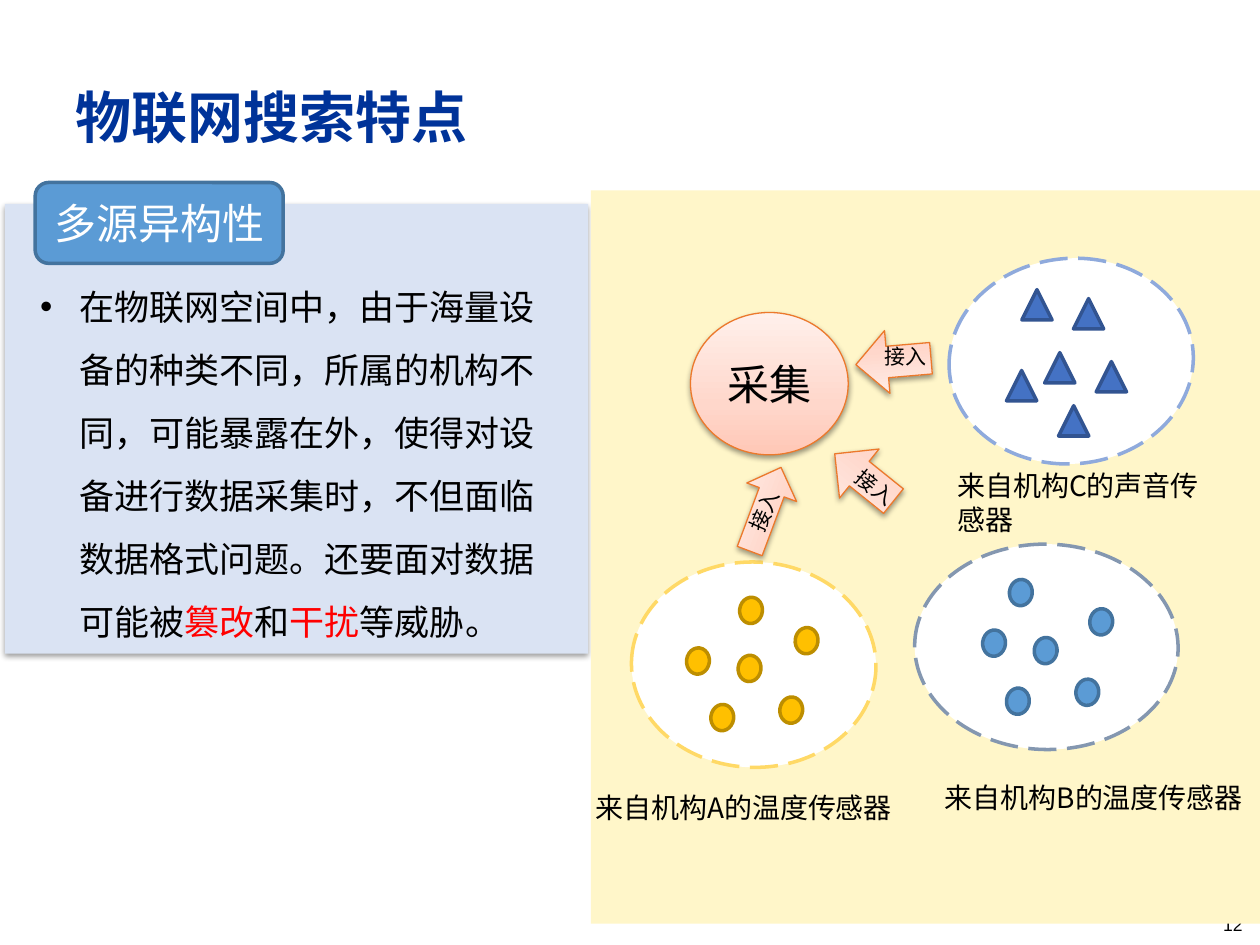
from lxml import etree
from pptx import Presentation
from pptx.dml.color import RGBColor
from pptx.enum.dml import MSO_LINE
from pptx.enum.shapes import MSO_SHAPE
from pptx.enum.text import MSO_ANCHOR, PP_ALIGN
from pptx.oxml.ns import qn
from pptx.util import Cm, Pt

RECTANGLE, ROUNDED = MSO_SHAPE.RECTANGLE, MSO_SHAPE.ROUNDED_RECTANGLE
OVAL, TRIANGLE, ARROW = MSO_SHAPE.OVAL, MSO_SHAPE.ISOSCELES_TRIANGLE, MSO_SHAPE.RIGHT_ARROW
LONG_DASH = MSO_LINE.LONG_DASH
MIDDLE, CENTER = MSO_ANCHOR.MIDDLE, PP_ALIGN.CENTER

LATIN, CHINESE = "Arial", "Noto Sans CJK SC"
BLACK = RGBColor(0, 0, 0)
WHITE = RGBColor(0xFF, 0xFF, 0xFF)
RED = RGBColor(0xFF, 0, 0)
NAVY = RGBColor(0x00, 0x33, 0x99)
PALE_BLUE = RGBColor(0xDA, 0xE3, 0xF3)
CREAM = RGBColor(0xFF, 0xF6, 0xC9)
BLUE = RGBColor(0x5B, 0x9B, 0xD5)
BLUE_EDGE = RGBColor(0x43, 0x73, 0x9E)
GOLD = RGBColor(0xFF, 0xC0, 0x00)
GOLD_EDGE = RGBColor(0xBD, 0x8E, 0x00)
ROYAL = RGBColor(0x44, 0x72, 0xC4)
ROYAL_EDGE = RGBColor(0x32, 0x54, 0x91)
GOLD_RING = RGBColor(0xFF, 0xD9, 0x66)
SLATE_RING = RGBColor(0x84, 0x97, 0xB0)
BLUE_RING = RGBColor(0x8F, 0xAA, 0xDC)
ORANGE = RGBColor(0xEC, 0x79, 0x2B)
PEACH_STOPS = ((0, "FFC7B6"), (35, "FFD7CB"), (100, "FFF0EB"))

BODY_RUNS = (
    ("在物联网空间中，由于海量设备的种类不同，所属的机构不同，可能暴露在外，"
     "使得对设备进行数据采集时，不但面临数据格式问题。还要面对数据可能被", BLACK),
    ("篡改", RED), ("和", BLACK), ("干扰", RED), ("等威胁。", BLACK),
)

# Ring box, ring rotation, ring colour, sensor shape, sensor size,
# sensor rotation, fill, edge, sensor positions
CLUSTERS = (
    ((12.73, 11.33, 4.93, 4.14), 1.7, GOLD_RING, OVAL, (0.46, 0.53), 7.1, GOLD, GOLD_EDGE,
     ((14.88, 13.21), (14.33, 14.2), (15.72, 14.05),
      (16.03, 12.65), (14.91, 12.04), (13.84, 13.06))),
    ((18.44, 10.97, 5.31, 4.14), 1.1, SLATE_RING, OVAL, (0.46, 0.53), 6.5, BLUE, BLUE_EDGE,
     ((20.85, 12.85), (20.29, 13.87), (21.69, 13.69),
      (21.97, 12.27), (20.35, 11.68), (19.81, 12.7))),
    ((19.13, 5.21, 4.93, 4.14), 354.6, BLUE_RING, TRIANGLE, (0.61, 0.61), 0, ROYAL, ROYAL_EDGE,
     ((20.6, 5.84), (21.06, 7.11), (21.64, 6.02),
      (22.1, 7.29), (20.29, 7.47), (21.34, 8.18))),
)

LABELS = (
    ("来自机构A的温度传感器", (11.76, 15.82, 6.5, 0.94)),
    ("来自机构B的温度传感器", (18.8, 15.62, 6.5, 0.94)),
    ("来自机构C的声音传感器", (19.05, 9.32, 5.64, 0.89)),
)

# Arrow box, arrow rotation, caption position, caption rotation
ACCESS_ARROWS = (
    ((14.53, 9.73, 1.8, 1.07), 290.5, (14.73, 9.91), 294.2),
    ((16.66, 8.99, 1.52, 1.27), 218.8, (16.97, 9.45), 39.3),
    ((17.25, 6.65, 1.52, 1.27), 175.1, (17.58, 6.81), 0),
)


def lengths(values):
    return [Cm(value) for value in values]


def style_run(run, size, color, font=LATIN, bold=False):
    run.font.size, run.font.bold, run.font.name = Pt(size), bold, font
    run.font.color.rgb = color
    east_asian = etree.SubElement(run.font._element, qn("a:ea"))
    east_asian.set("typeface", CHINESE)


def add_shape(page, kind, box, fill=None, line=None, width=2, rotation=0):
    shape = page.shapes.add_shape(kind, *lengths(box))
    shape.shadow.inherit = False
    shape.rotation = rotation
    if fill is not None:
        shape.fill.solid()
        shape.fill.fore_color.rgb = fill
    if line is None:
        shape.line.fill.background()
    else:
        shape.line.color.rgb = line
        shape.line.width = Pt(width)
    return shape


def add_shadow(shape):
    effects = shape._element.spPr.find(qn("a:effectLst"))
    shadow = etree.SubElement(effects, qn("a:outerShdw"), blurRad="40000", dist="20000",
                              dir="5400000", rotWithShape="0")
    color = etree.SubElement(shadow, qn("a:srgbClr"), val="000000")
    etree.SubElement(color, qn("a:alpha"), val="38000")


def add_peach_shape(page, kind, box, rotation=0):
    """Add a shape with the upward peach gradient, an orange edge and a shadow."""
    shape = add_shape(page, kind, box, line=ORANGE, width=0.75, rotation=rotation)
    add_shadow(shape)
    gradient = etree.Element(qn("a:gradFill"), rotWithShape="1")
    stops = etree.SubElement(gradient, qn("a:gsLst"))
    for percent, color in PEACH_STOPS:
        stop = etree.SubElement(stops, qn("a:gs"), pos=str(percent * 1000))
        etree.SubElement(stop, qn("a:srgbClr"), val=color)
    etree.SubElement(gradient, qn("a:lin"), ang="16200000", scaled="0")
    shape._element.spPr.find(qn("a:prstGeom")).addnext(gradient)
    return shape


def set_centered_text(shape, text, size, color):
    frame = shape.text_frame
    frame.text = text
    frame.vertical_anchor = MIDDLE
    para = frame.paragraphs[0]
    para.alignment = CENTER
    style_run(para.runs[0], size, color, CHINESE)


def add_text(page, text, box, size, color=BLACK, font=LATIN, bold=False, wrap=True):
    text_box = page.shapes.add_textbox(*lengths(box))
    frame = text_box.text_frame
    frame.word_wrap = wrap
    frame.text = text
    style_run(frame.paragraphs[0].runs[0], size, color, font, bold)
    return text_box


def add_body(page):
    text_box = page.shapes.add_textbox(*lengths((0.56, 5.21, 10.8, 7.95)))
    text_box.text_frame.word_wrap = True
    para = text_box.text_frame.paragraphs[0]
    para.line_spacing = 1.5
    properties = para._p.get_or_add_pPr()
    properties.set("marL", str(Cm(0.79)))
    properties.set("indent", str(-Cm(0.79)))
    etree.SubElement(properties, qn("a:buFont"), typeface=LATIN)
    etree.SubElement(properties, qn("a:buChar"), char="•")
    for text, color in BODY_RUNS:
        run = para.add_run()
        run.text = text
        style_run(run, 20, color)


def add_cluster(page, ring_box, ring_rotation, ring_color, kind, size, rotation,
                fill, edge, positions):
    """Add a dashed ring and the sensors inside it."""
    ring = add_shape(page, OVAL, ring_box, WHITE, ring_color, rotation=ring_rotation)
    ring.line.dash_style = LONG_DASH
    for position in positions:
        add_shape(page, kind, position + size, fill, edge, rotation=rotation)


def add_access_arrow(page, box, rotation, caption_position, caption_rotation):
    add_peach_shape(page, ARROW, box, rotation)
    caption = add_text(page, "接入", caption_position + (1.37, 0.76), 12, wrap=False)
    caption.rotation = caption_rotation


def main():
    deck = Presentation()
    deck.slide_width, deck.slide_height = Cm(25.4), Cm(19.05)
    page = deck.slides.add_slide(deck.slide_layouts[6])

    add_text(page, "12", (24.41, 18.31, 0.99, 1.09), 10)
    panel = add_shape(page, RECTANGLE, (0.1, 4.11, 11.76, 9.07), PALE_BLUE)
    add_shadow(panel)
    tag = add_shape(page, ROUNDED, (0.71, 3.68, 5, 1.63), BLUE, BLUE_EDGE)
    set_centered_text(tag, "多源异构性", 24, WHITE)
    add_body(page)

    add_shape(page, RECTANGLE, (11.91, 3.84, 13.59, 14.78), CREAM)
    for cluster in CLUSTERS:
        add_cluster(page, *cluster)
    collector = add_peach_shape(page, OVAL, (13.92, 6.3, 3.18, 2.87))
    set_centered_text(collector, "采集", 24, BLACK)
    for text, box in LABELS:
        add_text(page, text, box, 16, font=CHINESE)
    for arrow in ACCESS_ARROWS:
        add_access_arrow(page, *arrow)

    title = add_text(page, "物联网搜索特点", (1.27, 0.76, 22.86, 3.18), 32, NAVY, CHINESE, True)
    title.text_frame.vertical_anchor = MIDDLE
    deck.save("out.pptx")


if __name__ == "__main__":
    main()
